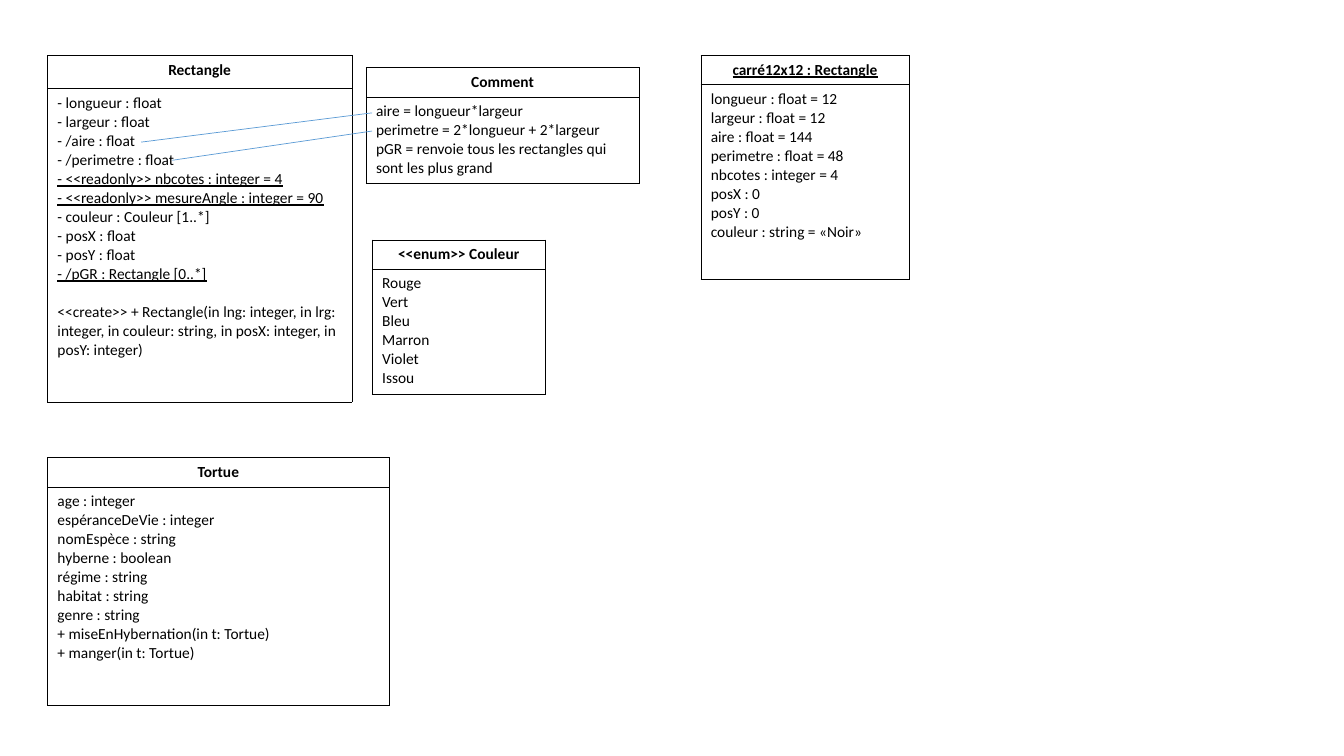
from dataclasses import dataclass

from lxml.etree import SubElement
from pptx import Presentation
from pptx.dml.color import RGBColor
from pptx.enum.shapes import MSO_CONNECTOR as Connector
from pptx.enum.text import PP_ALIGN as Align
from pptx.oxml.ns import qn
from pptx.util import Inches, Pt


@dataclass(frozen=True)
class Theme:
    """Colours, type and line widths of the diagram."""
    font: str = "Calibri"
    size: float = 11
    ink: str = "000000"
    link: str = "5B9BD5"
    border_width: float = 0.38
    link_width: float = 0.5
    gap: float = 13.4


@dataclass(frozen=True)
class ClassBox:
    """A two-part UML box: its name above its members."""
    name: str
    place: tuple
    row_heights: tuple
    members: tuple
    name_underlined: bool = False
    underlined: tuple = ()
    gap_before: tuple = ()


THEME = Theme()

BOXES = (
    ClassBox(
        "Rectangle", (0.47, 0.55, 3.02), (0.33, 3.11),
        (
            "- longueur : float",
            "- largeur : float",
            "- /aire : float",
            "- /perimetre : float",
            "- <<readonly>> nbcotes : integer = 4",
            "- <<readonly>> mesureAngle : integer = 90",
            "- couleur : Couleur [1..*]",
            "- posX : float",
            "- posY : float",
            "- /pGR : Rectangle [0..*]",
            "<<create>> + Rectangle(in lng: integer, in lrg: integer, "
            "in couleur: string, in posX: integer, in posY: integer)",
        ),
        underlined=(4, 5, 9), gap_before=(10,),
    ),
    ClassBox(
        "carré12x12 : Rectangle", (6.95, 0.55, 2.07), (0.29, 1.93),
        (
            "longueur : float = 12",
            "largeur : float = 12",
            "aire : float = 144",
            "perimetre : float = 48",
            "nbcotes : integer = 4",
            "posX : 0",
            "posY : 0",
            "couleur : string = «Noir»",
        ),
        name_underlined=True,
    ),
    ClassBox(
        "Tortue", (0.47, 4.54, 3.39), (0.29, 2.17),
        (
            "age : integer",
            "espéranceDeVie : integer",
            "nomEspèce : string",
            "hyberne : boolean",
            "régime : string",
            "habitat : string",
            "genre : string",
            "+ miseEnHybernation(in t: Tortue)",
            "+ manger(in t: Tortue)",
        ),
    ),
    ClassBox(
        "Comment", (3.63, 0.67, 2.71), (0.29, 0.86),
        (
            "aire = longueur*largeur",
            "perimetre = 2*longueur + 2*largeur",
            "pGR = renvoie tous les rectangles qui sont les plus grand",
        ),
    ),
    ClassBox(
        "<<enum>> Couleur", (3.69, 2.38, 1.72), (0.29, 1.24),
        ("Rouge", "Vert", "Bleu", "Marron", "Violet", "Issou"),
    ),
)

LINKS = (
    ((3.69, 1.12), (1.4, 1.41)),
    ((1.71, 1.59), (3.69, 1.3)),
)


def style_cell(cell):
    """Give a cell thin borders on all sides and no fill."""
    properties = cell._tc.get_or_add_tcPr()
    for side in ("a:lnL", "a:lnR", "a:lnT", "a:lnB"):
        border = SubElement(properties, qn(side), w=str(Pt(THEME.border_width)))
        fill = SubElement(border, qn("a:solidFill"))
        SubElement(fill, qn("a:srgbClr"), val=THEME.ink)
    cell.fill.background()


def style_paragraph(paragraph, bold=False, underline=False):
    """Apply the diagram's type to every run of a paragraph."""
    for run in paragraph.runs:
        font = run.font
        font.name = THEME.font
        font.size = Pt(THEME.size)
        font.color.rgb = RGBColor.from_string(THEME.ink)
        font.bold = bold
        font.underline = underline


def add_class_box(slide, box):
    """Draw a class box as a table of two rows."""
    left, top, width = map(Inches, box.place)
    height = Inches(sum(box.row_heights))
    table = slide.shapes.add_table(2, 1, left, top, width, height).table
    table.first_row = False
    table.horz_banding = False
    for row, row_height in zip(table.rows, box.row_heights):
        row.height = Inches(row_height)
        style_cell(row.cells[0])

    heading = table.cell(0, 0).text_frame
    heading.text = box.name
    heading.paragraphs[0].alignment = Align.CENTER
    style_paragraph(heading.paragraphs[0], True, box.name_underlined)

    body = table.cell(1, 0).text_frame
    body.text = "\n".join(box.members)
    for index, paragraph in enumerate(body.paragraphs):
        style_paragraph(paragraph, underline=index in box.underlined)
        if index in box.gap_before:
            paragraph.space_before = Pt(THEME.gap)


def add_link(slide, start, end):
    """Draw a thin line between a member and its comment."""
    link = slide.shapes.add_connector(
        Connector.STRAIGHT, *map(Inches, start + end))
    link.line.color.rgb = RGBColor.from_string(THEME.link)
    link.line.width = Pt(THEME.link_width)
    SubElement(link._element.spPr, qn("a:effectLst"))


def main():
    """Build the class diagram slide and save it."""
    presentation = Presentation()
    presentation.slide_width = Inches(13.33)
    presentation.slide_height = Inches(7.5)
    slide = presentation.slides.add_slide(presentation.slide_layouts[6])
    *first_boxes, enumeration = BOXES
    for box in first_boxes:
        add_class_box(slide, box)
    for start, end in LINKS:
        add_link(slide, start, end)
    add_class_box(slide, enumeration)
    presentation.save("out.pptx")


if __name__ == "__main__":
    main()
